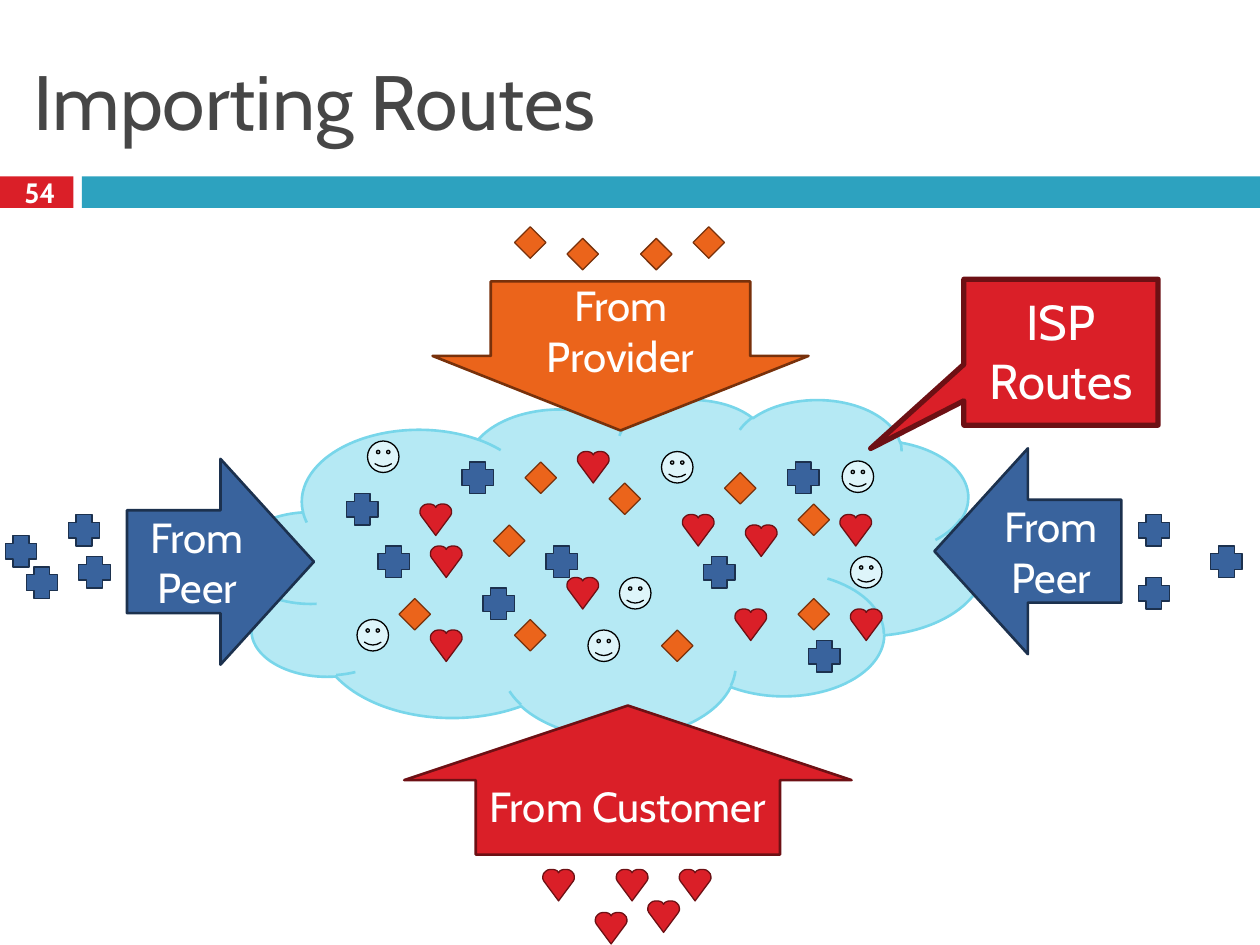
from pptx import Presentation
from pptx.dml.color import RGBColor
from pptx.enum import shapes, text
from pptx import util as u

COLORS = {
    "white": "FFFFFF", "title": "464646", "band": "2DA2BF",
    "red": "DA1F28", "red_line": "6D1014", "orange": "EB641B", "orange_line": "78310B",
    "blue": "39639D", "blue_line": "1C314E", "cloud": "B5E9F4", "cloud_line": "78D6EA",
    "face": "DEF5FA", "black": "000000",
}
MSO = shapes.MSO_SHAPE
PIECE = 3
PIECES = {
    "provider": (MSO.DIAMOND, "orange", "orange_line"),
    "peer": (MSO.CROSS, "blue", "blue_line"),
    "isp": (MSO.SMILEY_FACE, "face", "black"),
    "customer": (None, "red", "red_line"),
}
HEART_HALF = [(.5, .11), (.46, .05), (.4, .02), (.33, 0), (.24, 0), (.15, .02),
              (.08, .07), (.02, .14), (0, .22), (0, .3), (.03, .37), (.5, 1)]
HEART = HEART_HALF + [(1 - x, y) for x, y in HEART_HALF[-2:0:-1]]


def grid(n):
    """Convert columns or rows of the 120 by 90 grid to a length."""
    return u.Inches(n / 12)


def rgb(name):
    """Look up a named colour."""
    return RGBColor.from_string(COLORS[name])


def paint(sp, fill, line=None, width=0.75):
    """Give a shape a flat fill and an optional outline."""
    sp.shadow.inherit = False
    sp.fill.solid()
    sp.fill.fore_color.rgb = rgb(fill)
    if line:
        sp.line.color.rgb = rgb(line)
        sp.line.width = u.Pt(width)
    else:
        sp.line.fill.background()


def write(sp, words, size=24, color="white", bold=False,
          align=text.PP_ALIGN.CENTER, anchor=text.MSO_ANCHOR.MIDDLE):
    """Put one formatted paragraph in a shape."""
    tf = sp.text_frame
    tf.word_wrap = True
    tf.auto_size = text.MSO_AUTO_SIZE.NONE
    tf.vertical_anchor = anchor
    p = tf.paragraphs[0]
    p.alignment = align
    r = p.add_run()
    r.text = words
    r.font.name, r.font.size, r.font.bold = "Cabin", u.Pt(size), bold
    r.font.color.rgb = rgb(color)


def add_shape(s, kind, box, fill, line=None, width=0.75, adj=()):
    """Add a painted preset shape in a grid box."""
    sp = s.shapes.add_shape(kind, *map(grid, box))
    for i, value in enumerate(adj):
        sp.adjustments[i] = value
    paint(sp, fill, line, width)
    return sp


def add_heart(s, box, fill, line):
    """Draw a heart outline in a grid box."""
    x, y, w, h = box
    points = [(grid(x + w * px), grid(y + h * py)) for px, py in HEART]
    builder = s.shapes.build_freeform(*points[0])
    builder.add_line_segments(points[1:], close=True)
    paint(builder.convert_to_shape(), fill, line)


def add_routes(s, origin, kind, cells):
    """Scatter route markers of one kind at cells relative to an origin."""
    preset, fill, line = PIECES[kind]
    for col, row in cells:
        box = (origin[0] + col, origin[1] + row, PIECE, PIECE)
        if preset is None:
            add_heart(s, box, fill, line)
        else:
            add_shape(s, preset, box, fill, line,
                      adj=(0.25,) if preset == MSO.CROSS else ())


def add_header(s, box):
    """Place the title and the numbered band under it."""
    x, y, w, h = box
    title = s.shapes.title
    title.left, title.top, title.width, title.height = map(grid, (x + 2, y + 3, w - 4, 13))
    write(title, "Importing Routes", size=44, color="title", align=text.PP_ALIGN.LEFT)
    band = y + h - 3
    add_shape(s, MSO.RECTANGLE, (x, band, 7, 3), "red")
    add_shape(s, MSO.RECTANGLE, (x + 7.8, band, w - 7.8, 3), "band")
    number = s.shapes.add_textbox(*map(grid, (x, band - 0.2, 7.6, 3.5)))
    write(number, "54", size=16, bold=True)


def add_cloud(s, box):
    """Draw the provider network with every imported route inside."""
    add_shape(s, MSO.CLOUD, box, "cloud", "cloud_line", 1.5)
    origin = (box[0] + 10.6, box[1] + 4)
    add_routes(s, origin, "provider", [(43, 6), (16, 17), (43, 15), (17, 2), (36, 3),
                                       (30, 18), (25, 4), (5, 15), (14, 8)])
    add_routes(s, origin, "peer", [(0, 5), (19, 10), (44, 19), (42, 2), (3, 10),
                                   (13, 14), (34, 11), (11, 2)])
    add_routes(s, origin, "isp", [(23, 18), (30, 1), (1, 17), (2, 0), (48, 11),
                                  (26, 13), (47.2, 1.9)])
    add_routes(s, origin, "customer", [(48, 16), (37, 16), (8, 18), (8, 10), (7, 6),
                                       (21, 13), (32, 7), (22, 1), (47, 7), (38, 8)])


def add_source(s, box, arrow, kind, words, cells, adj=(0.5, 0.5)):
    """Draw a labelled arrow and the routes waiting behind it."""
    add_routes(s, box[:2], kind, cells)
    _, fill, line = PIECES[kind]
    write(add_shape(s, arrow, box, fill, line, 1.5, adj), words)


def add_callout(s, box):
    """Draw the callout that points at the provider's own routes."""
    x, y, w, h = box
    add_shape(s, MSO.RECTANGULAR_CALLOUT, box, "red", "red_line", 3, (-0.98, 0.66))
    label = s.shapes.add_textbox(*map(grid, (x, y + 0.6, w, h - 1.4)))
    write(label, "ISP Routes", size=28, anchor=text.MSO_ANCHOR.TOP)


def main():
    """Build the slide and save it."""
    prs = Presentation()
    prs.slide_width, prs.slide_height = grid(120), grid(90)
    s = prs.slides.add_slide(prs.slide_layouts[5])
    add_header(s, (0, 0, 120, 19.8))
    add_cloud(s, (22.4, 38, 71.4, 32.2))
    add_source(s, (41.2, 26.8, 35.8, 14.2), MSO.DOWN_ARROW, "provider", "From Provider",
               [(7.8, -5.2), (12.8, -4.1), (19.8, -4.1), (24.8, -5.2)], (0.69, 0.5))
    add_source(s, (89, 42.7, 17.8, 19.6), MSO.LEFT_ARROW, "peer", "From Peer",
               [(19.4, 6.3), (19.4, 12.3), (26.3, 9.3)])
    add_source(s, (12.1, 43.7, 17.8, 19.6), MSO.RIGHT_ARROW, "peer", "From Peer",
               [(-9.6, 10.3), (-4.6, 9.3), (-11.6, 7.3), (-5.6, 5.3)])
    add_source(s, (38.5, 67.2, 42.6, 14.2), MSO.UP_ARROW, "customer", "From Customer",
               [(13.2, 15.6), (20.2, 15.6), (26.2, 15.6), (18.2, 19.7), (23.2, 18.6)],
               (0.68, 0.5))
    add_callout(s, (91.8, 26.6, 18.5, 13.9))
    prs.save("out.pptx")


if __name__ == "__main__":
    main()
